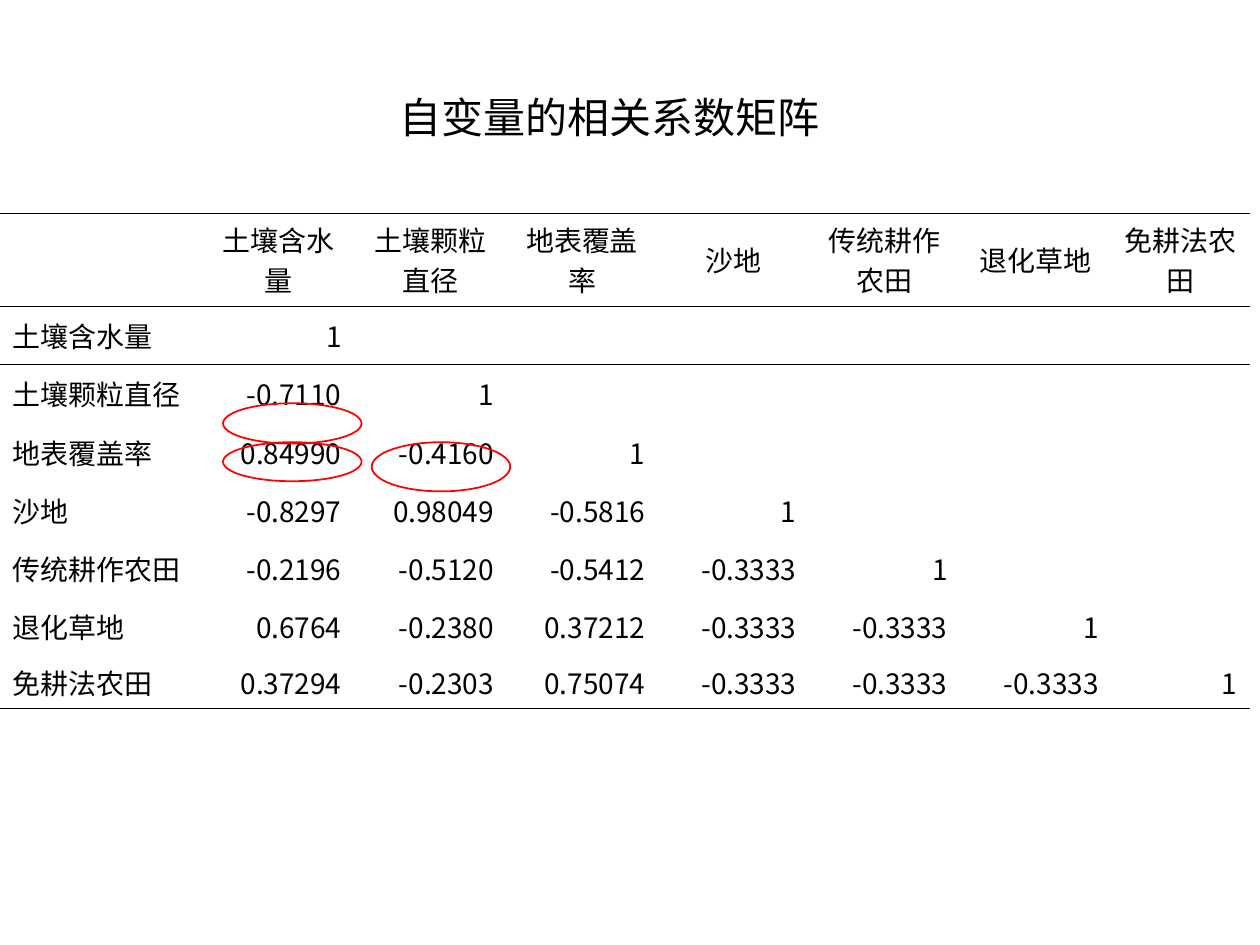
import lxml.etree
import pptx
import pptx.dml.color
import pptx.enum.shapes
import pptx.enum.text
import pptx.oxml.ns
import pptx.util

qn = pptx.oxml.ns.qn
Pt = pptx.util.Pt
align = pptx.enum.text.PP_ALIGN
theme = {
    "font": "Noto Sans CJK SC",
    "ink": pptx.dml.color.RGBColor(0, 0, 0),
    "ring": pptx.dml.color.RGBColor(255, 0, 0),
    "title": 24, "cell": 16, "blank": 18,
    "rule": 0.45, "outline": 1,
}
names = ["土壤含水量", "土壤颗粒直径", "地表覆盖率", "沙地",
         "传统耕作农田", "退化草地", "免耕法农田"]
lower = [
    [],
    ["-0.7110"],
    ["0.84990", "-0.4160"],
    ["-0.8297", "0.98049", "-0.5816"],
    ["-0.2196", "-0.5120", "-0.5412", "-0.3333"],
    ["0.6764", "-0.2380", "0.37212", "-0.3333", "-0.3333"],
    ["0.37294", "-0.2303", "0.75074", "-0.3333", "-0.3333", "-0.3333"],
]
count = len(names)
grid = [[""] + names]
for name, row in zip(names, lower):
    grid.append([name] + row + ["1"] + [""] * (count - 1 - len(row)))

deck = pptx.Presentation()
deck.slide_width = pptx.util.Inches(10)
deck.slide_height = pptx.util.Inches(7.5)
slide = deck.slides.add_slide(deck.slide_layouts[6])


def place(left, top, width, height):
    """Turn percentages of the slide's width and height into lengths."""
    wide, high = deck.slide_width / 100, deck.slide_height / 100
    return [round(n) for n in (left * wide, top * high, width * wide, height * high)]


def write(frame, text, size, side):
    """Fill a frame with one line of text in the theme's font and ink."""
    frame.text = text
    line = frame.paragraphs[0]
    line.alignment = side
    for run in line.runs:
        run.font.name = theme["font"]
        run.font.size = Pt(size)
        run.font.color.rgb = theme["ink"]
        east = lxml.etree.SubElement(run.font._element, qn("a:ea"))
        east.set("typeface", theme["font"])


# Correlation table: widths and heights are percentages of the slide
widths = [16.1, 12, 12.1, 12, 12, 12, 12, 11]
heights = [8.53, 4.93, 5.47] + [4.93] * 5
box = place(0, 22.53, sum(widths), sum(heights))
table = slide.shapes.add_table(count + 1, count + 1, *box).table
table.first_row = table.horz_banding = False
style = table._tbl.tblPr.find(qn("a:tableStyleId"))
style.text = "{2D5ABB26-0587-4C30-8999-92F81FD0307C}"
for col, width in zip(table.columns, widths):
    col.width = place(0, 0, width, 0)[2]
for row, height in zip(table.rows, heights):
    row.height = place(0, 0, 0, height)[3]

for r, row in enumerate(grid):
    for c, text in enumerate(row):
        cell = table.cell(r, c)
        cell.fill.background()
        cell.vertical_anchor = pptx.enum.text.MSO_ANCHOR.MIDDLE
        side = align.CENTER if r == 0 else align.RIGHT if c else align.LEFT
        write(cell.text_frame, text, theme["cell"], side)
        if not text:
            # The type size of an empty cell sets the height of its row
            end = lxml.etree.SubElement(
                cell.text_frame.paragraphs[0]._p, qn("a:endParaRPr"))
            end.set("sz", str(theme["blank"] * 100))
            for tag in ("a:latin", "a:ea"):
                lxml.etree.SubElement(end, qn(tag)).set("typeface", theme["font"])
        edges = {0: ["a:lnT", "a:lnB"], 1: ["a:lnT"], count: ["a:lnB"]}.get(r, [])
        for spot, tag in enumerate(edges):
            edge = lxml.etree.Element(qn(tag), w=str(int(Pt(theme["rule"]))))
            fill = lxml.etree.SubElement(edge, qn("a:solidFill"))
            ink = lxml.etree.SubElement(fill, qn("a:srgbClr"))
            ink.set("val", str(theme["ink"]))
            cell._tc.tcPr.insert(spot, edge)

title = slide.shapes.add_textbox(*place(24.8, 9.07, 47.2, 6.67)).text_frame
title.word_wrap = True
write(title, "自变量的相关系数矩阵", theme["title"], align.CENTER)

# Rings around the notable coefficients
for left, top, height in [(17.7, 42.67, 4.27), (29.5, 46.8, 5.2), (17.7, 46.8, 4.13)]:
    ring = slide.shapes.add_shape(
        pptx.enum.shapes.MSO_SHAPE.OVAL, *place(left, top, 11, height))
    ring.shadow.inherit = False
    ring.fill.background()
    ring.line.color.rgb = theme["ring"]
    ring.line.width = Pt(theme["outline"])

deck.save("out.pptx")
